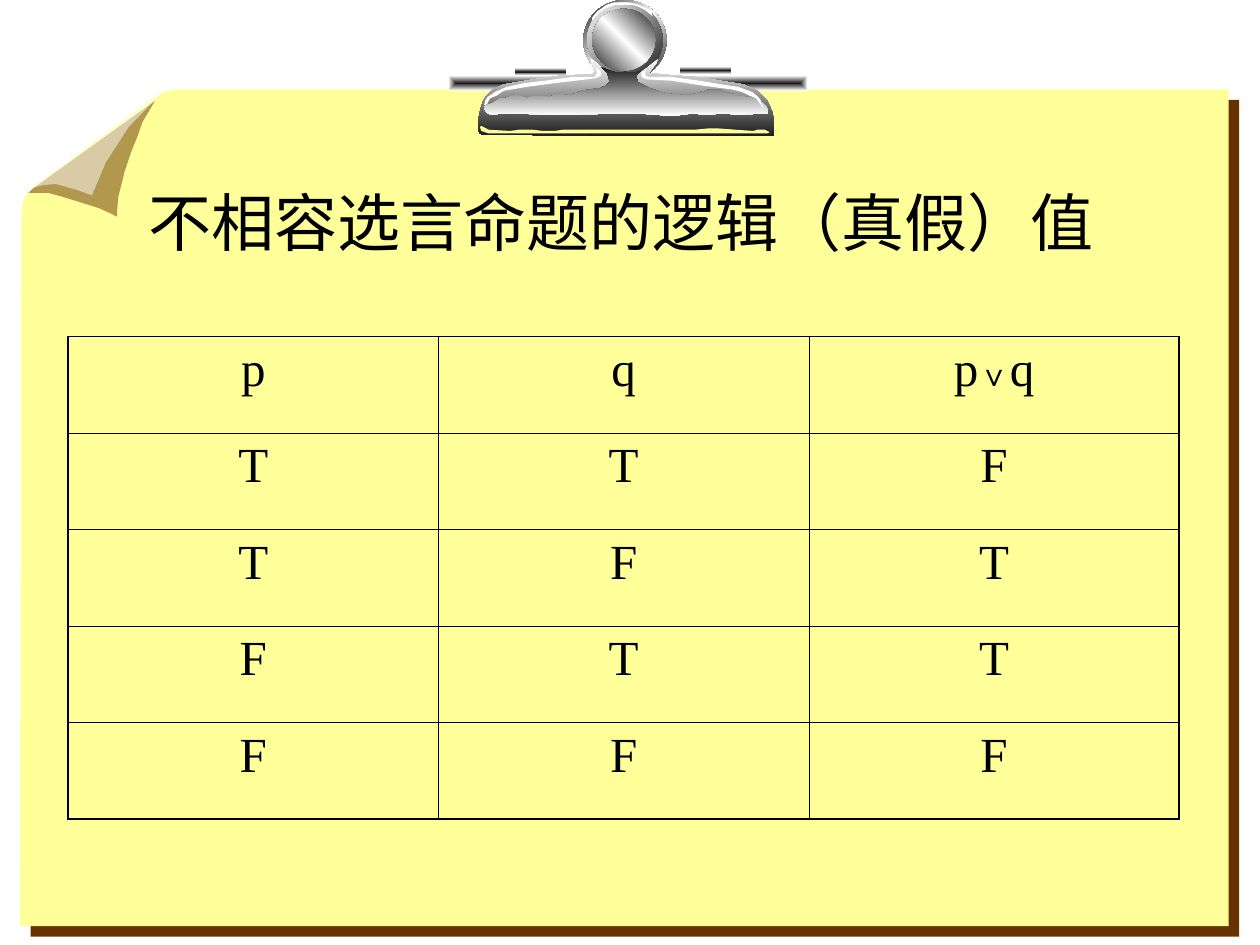
from lxml import etree
from pptx import Presentation
from pptx import util as u
from pptx.dml.color import RGBColor
from pptx.enum import shapes, text
from pptx.oxml.ns import qn

DARK, WHITE, PAPER, BROWN, BLACK = "1C1C1C", "FFFFFF", "FFFF99", "663300", "000000"
BODY_FONT, SYMBOL_FONT = "Times New Roman", "Arial"
RECTANGLE, OVAL = shapes.MSO_SHAPE.RECTANGLE, shapes.MSO_SHAPE.OVAL


def color(value):
    return RGBColor.from_string(value)


def add_element(parent, tag, **attributes):
    return etree.SubElement(parent, qn(tag), {k: str(v) for k, v in attributes.items()})


def fill_solid(shape, value, opacity=100):
    shape.fill.solid()
    shape.fill.fore_color.rgb = color(value)
    if opacity < 100:
        srgb = shape.element.spPr.find(qn("a:solidFill")).find(qn("a:srgbClr"))
        add_element(srgb, "a:alpha", val=opacity * 1000)


def fill_gradient(shape, values, angle=None):
    """Spread the colours evenly, along an angle or outwards from the centre."""
    shape.fill.gradient()
    gradient = shape.element.spPr.find(qn("a:gradFill"))
    for child in list(gradient):
        gradient.remove(child)
    stops = add_element(gradient, "a:gsLst")
    for index, value in enumerate(values):
        stop = add_element(stops, "a:gs", pos=index * 100000 // (len(values) - 1))
        add_element(stop, "a:srgbClr", val=value)
    if angle is None:
        centre = add_element(gradient, "a:path", path="rect")
        add_element(centre, "a:fillToRect", l=50000, t=50000, r=50000, b=50000)
    else:
        add_element(gradient, "a:lin", ang=angle * 60000, scaled=0)


def finish(shape):
    shape.line.fill.background()
    shape.shadow.inherit = False
    return shape


def add_outline(slide, box, points):
    left, top = box[:2]
    corners = [(u.Inches(left + x), u.Inches(top + y)) for x, y in points]
    builder = slide.shapes.build_freeform(*corners[0], scale=1.0)
    builder.add_line_segments(corners[1:], close=True)
    return finish(builder.convert_to_shape())


def add_preset(slide, box, kind, x, y, width, height):
    return finish(slide.shapes.add_shape(
        kind, u.Inches(box[0] + x), u.Inches(box[1] + y), u.Inches(width), u.Inches(height)))


def add_paper(slide, box):
    width, height = box[2:]
    # Sheet with a cut corner and a hard brown shadow
    sheet = add_outline(slide, box, [
        (1.19, .01), (1.23, 0), (width, 0), (width, height), (0, height), (.01, 1), (.02, .9),
        (.04, .85), (.06, .82), (.11, .77), (1.03, .09), (1.09, .05), (1.14, .02)])
    fill_solid(sheet, PAPER)
    effects = sheet.element.spPr.find(qn("a:effectLst"))
    shadow = add_element(effects, "a:outerShdw", dist=u.Pt(8.5), dir=45 * 60000,
                         algn="ctr", rotWithShape=0)
    add_element(shadow, "a:srgbClr", val=BROWN)

    # Curled corner: dark underside, then light face
    underside = add_outline(slide, box, [
        (.33, .85), (.62, .94), (.71, .98), (.77, 1.01), (.77, .95), (.78, .85), (.8, .77),
        (.83, .65), (.88, .5), (.94, .35), (.97, .26), (1.07, .09), (.11, .78), (.06, .82),
        (.22, .82)])
    fill_solid(underside, BROWN, 50)
    face = add_outline(slide, box, [
        (.05, .85), (.07, .8), (.15, .74), (1.12, .03), (.86, .3), (.68, .58), (.57, .84),
        (.43, .79), (.28, .75), (.18, .76), (.1, .78)])
    fill_solid(face, WHITE, 50)


def add_clip(slide, box):
    # Bars behind the clip, then the ring of the handle
    for kind, place, values, angle in [
        (RECTANGLE, (.06, .6, 2.85, .12), (DARK, WHITE), None),
        (RECTANGLE, (.59, .54, .4, .06), (WHITE, DARK, WHITE), 90),
        (RECTANGLE, (1.9, .53, .4, .06), (WHITE, DARK, WHITE), 90),
        (OVAL, (1.13, 0, .66, .64), (DARK, WHITE, DARK), 225),
        (OVAL, (1.16, .02, .6, .6), (DARK, WHITE), 225),
    ]:
        fill_gradient(add_preset(slide, box, kind, *place), values, angle)
    ring_glint = add_outline(slide, box, [
        (1.68, .13), (1.67, .1), (1.64, .07), (1.6, .05), (1.55, .03), (1.49, .02), (1.37, .02),
        (1.31, .04), (1.27, .07), (1.24, .09), (1.2, .14), (1.2, .16), (1.25, .11), (1.3, .07),
        (1.38, .04), (1.52, .04), (1.56, .05), (1.62, .08)])
    fill_solid(ring_glint, WHITE)
    knob = add_preset(slide, box, OVAL, 1.2, .07, .5, .49)
    fill_gradient(knob, (DARK, WHITE, DARK), 135)

    # Body of the clip
    body = add_outline(slide, box, [
        (.31, 1.06), (.34, 1.07), (2.64, 1.08), (2.64, .95), (2.63, .89), (2.59, .8), (2.51, .72),
        (2.4, .67), (2.27, .65), (2.02, .61), (1.86, .6), (1.65, .58), (1.71, .5), (1.72, .47),
        (1.67, .51), (1.61, .56), (1.53, .59), (1.44, .59), (1.35, .58), (1.28, .54), (1.19, .46),
        (1.2, .51), (1.22, .57), (1.2, .59), (.95, .6), (.74, .63), (.5, .67), (.41, .71),
        (.36, .76), (.33, .81), (.31, .88), (.29, .98), (.29, 1.02)])
    fill_gradient(body, (WHITE, DARK), 90)
    left_glint = add_outline(slide, box, [
        (.34, .85), (.35, .8), (.37, .77), (.43, .73), (.52, .69), (.66, .66), (.83, .64),
        (1.05, .61), (1.22, .61), (1.24, .58), (1.23, .53), (1.27, .57), (1.27, .6), (1.23, .62),
        (1.16, .63), (.9, .66), (.68, .69), (.5, .72), (.44, .76), (.39, .78), (.37, .82)])
    fill_solid(left_glint, WHITE)
    lower_edge = add_outline(slide, box, [
        (.32, 1), (.31, 1.01), (.32, 1.04), (.38, 1.06), (2.59, 1.06), (2.61, 1.05), (2.57, 1.03),
        (2.51, 1.03), (2.48, 1.04), (2.2, 1.02), (2.12, 1.02), (2.01, 1.03), (.97, 1.03),
        (.9, 1.04), (.81, 1.04), (.73, 1.03), (.62, 1.03), (.55, 1.04), (.38, 1.03)])
    fill_solid(lower_edge, PAPER)
    sheen = add_outline(slide, box, [
        (.51, .78), (.47, .78), (.41, .82), (.35, .84), (.34, .86), (.36, .89), (.39, .91),
        (.51, .9), (.9, .91), (1.56, .9), (1.84, .92), (2, .9), (2.09, .91), (2.26, .9),
        (2.34, .91), (2.6, .9), (2.59, .86), (2.57, .83), (2.5, .78), (2.35, .76), (2.21, .71),
        (2.13, .71), (2.03, .74), (1.98, .76), (1.86, .75), (1.78, .74), (1.66, .7), (1.56, .65),
        (1.55, .6), (1.59, .56), (1.53, .58), (1.46, .57), (1.41, .58), (1.34, .56), (1.27, .53),
        (1.32, .58), (1.34, .65), (1.31, .68), (1.26, .7), (1.12, .72), (1.02, .76), (.91, .74),
        (.87, .77), (.74, .76), (.68, .78), (.59, .75)])
    fill_gradient(sheen, (DARK, WHITE), 90)
    right_glint = add_outline(slide, box, [
        (2.56, .86), (2.54, .8), (2.52, .77), (2.47, .73), (2.36, .69), (2.23, .67), (2.05, .64),
        (1.82, .61), (1.64, .61), (1.62, .59), (1.63, .54), (1.59, .58), (1.59, .61), (1.63, .63),
        (1.83, .64), (2.08, .68), (2.31, .71), (2.39, .73), (2.45, .76), (2.5, .78), (2.53, .82)])
    fill_solid(right_glint, WHITE)


def add_run(paragraph, content, size, font=BODY_FONT):
    run = paragraph.add_run()
    run.text = content
    run.font.size, run.font.name = u.Pt(size), font
    run.font.color.rgb = color(BLACK)


def place_title(slide, box, content):
    title = slide.shapes.title
    title.left, title.top, title.width, title.height = map(u.Inches, box)
    title.element.getparent().append(title.element)  # bring above the paper
    title.text_frame.vertical_anchor = text.MSO_ANCHOR.MIDDLE
    paragraph = title.text_frame.paragraphs[0]
    paragraph.alignment = text.PP_ALIGN.CENTER
    add_run(paragraph, content, 36)


def set_borders(cell, outer_sides):
    properties = cell._tc.get_or_add_tcPr()
    for side in "LRTB":
        weight = u.Pt(1.08 if side in outer_sides else 0.45)
        line = add_element(properties, f"a:ln{side}", w=weight)
        add_element(add_element(line, "a:solidFill"), "a:srgbClr", val=BLACK)


def add_truth_table(slide, box, rows):
    last_row, last_column = len(rows) - 1, len(rows[0]) - 1
    frame = slide.shapes.add_table(len(rows), len(rows[0]), *map(u.Inches, box))
    table = frame.table
    table.first_row = table.horz_banding = False
    for r, values in enumerate(rows):
        for c, value in enumerate(values):
            cell = table.cell(r, c)
            edges = {"L": c == 0, "R": c == last_column, "T": r == 0, "B": r == last_row}
            set_borders(cell, [side for side, outer in edges.items() if outer])
            cell.fill.background()
            paragraph = cell.text_frame.paragraphs[0]
            paragraph.alignment = text.PP_ALIGN.CENTER
            for symbol in value:
                if symbol == "∨":
                    add_run(paragraph, symbol, 18, SYMBOL_FONT)
                else:
                    add_run(paragraph, symbol, 28)


def main():
    presentation = Presentation()
    presentation.slide_width, presentation.slide_height = u.Inches(10), u.Inches(7.5)
    slide = presentation.slides.add_slide(presentation.slide_layouts[5])
    add_paper(slide, (0.16, 0.71, 9.59, 6.64))
    add_clip(slide, (3.5, 0, 3, 1.08))
    place_title(slide, (0.52, 1.33, 8.81, 0.85), "不相容选言命题的逻辑（真假）值")
    add_truth_table(slide, (0.54, 2.67, 8.82, 3.83),
                    [["p", "q", "p∨q"], "TTF", "TFT", "FTT", "FFF"])
    presentation.save("out.pptx")


if __name__ == "__main__":
    main()
